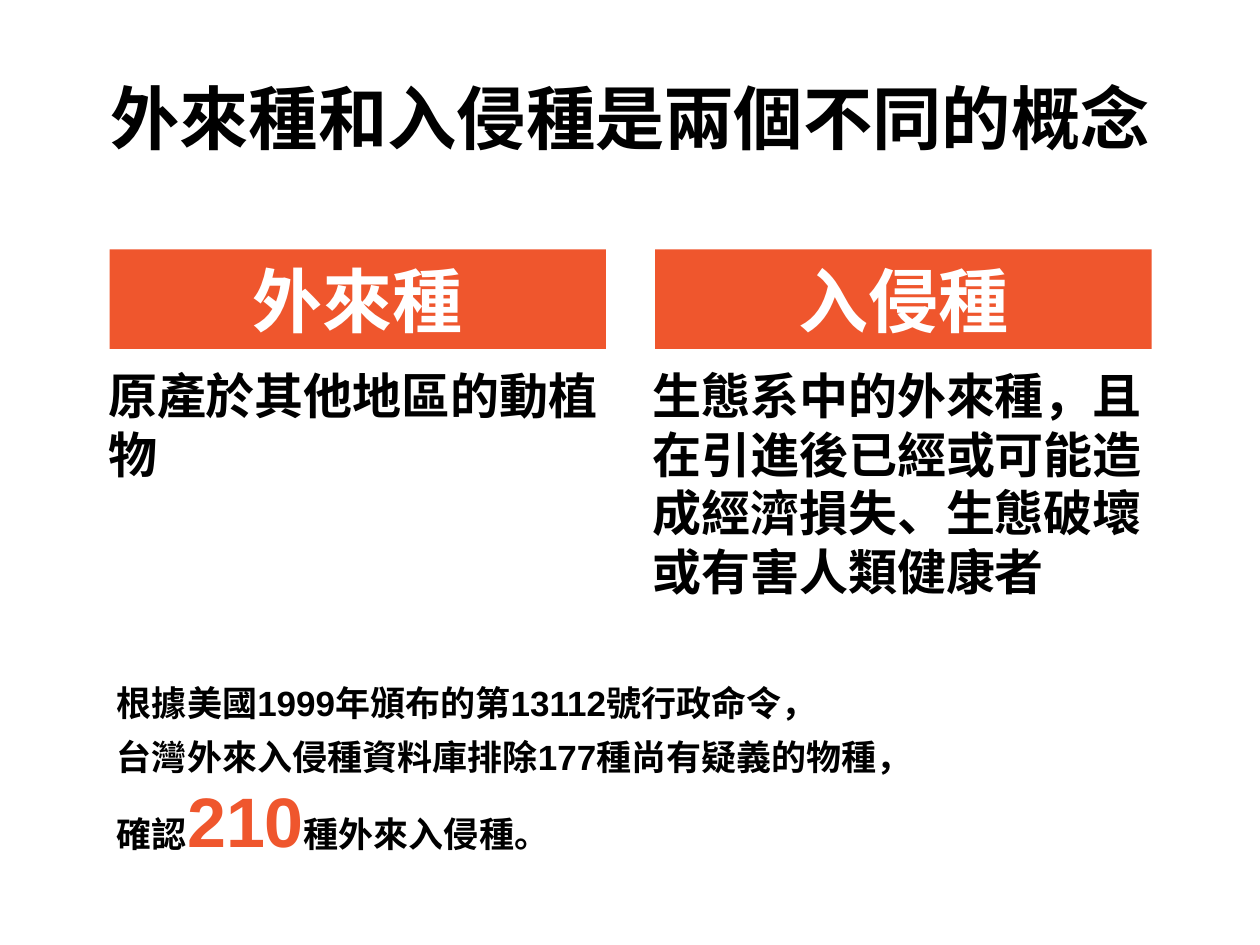
import pptx
import pptx.dml.color
import pptx.enum.shapes
import pptx.enum.text
import pptx.util

Inches = pptx.util.Inches
ORANGE = pptx.dml.color.RGBColor(0xEF, 0x56, 0x2D)
BLACK = pptx.dml.color.RGBColor(0, 0, 0)
WHITE = pptx.dml.color.RGBColor(255, 255, 255)
CENTER = pptx.enum.text.PP_ALIGN.CENTER
MIDDLE = pptx.enum.text.MSO_ANCHOR.MIDDLE


def add_span(para, text, size, color=BLACK):
    span = para.add_run()
    span.text = text
    span.font.name = "Arial"
    span.font.size = pptx.util.Pt(size)
    span.font.bold = True
    span.font.color.rgb = color


def add_box(left, top, width, height):
    box = slide.shapes.add_textbox(
        Inches(left), Inches(top), Inches(width), Inches(height))
    box.text_frame.word_wrap = True
    return box.text_frame


deck = pptx.Presentation()
deck.slide_width = Inches(10)
deck.slide_height = Inches(7.5)
slide = deck.slides.add_slide(deck.slide_layouts[6])

# Title
title = add_box(0.5, 0.3, 9, 1.25)
title.vertical_anchor = MIDDLE
title.paragraphs[0].alignment = CENTER
add_span(title.paragraphs[0], "外來種和入侵種是兩個不同的概念", 39.6)

# Two columns: coloured heading with its definition below
columns = [
    (0.87, 0.76, 1.04, "外來種", "原產於其他地區的動植物"),
    (5.2, 5.08, 1.99, "入侵種",
     "生態系中的外來種，且在引進後已經或可能造成經濟損失、生態破壞或有害人類健康者"),
]
for heading_left, text_left, text_height, name, definition in columns:
    heading = slide.shapes.add_shape(
        pptx.enum.shapes.MSO_SHAPE.RECTANGLE,
        Inches(heading_left), Inches(1.98), Inches(3.94), Inches(0.79))
    heading.shadow.inherit = False
    heading.fill.solid()
    heading.fill.fore_color.rgb = ORANGE
    heading.line.fill.background()
    heading.text_frame.vertical_anchor = MIDDLE
    para = heading.text_frame.paragraphs[0]
    para.alignment = CENTER
    add_span(para, name, 40, WHITE)

    body = add_box(text_left, 2.85, 4.09, text_height)
    add_span(body.paragraphs[0], definition, 28)

# Source and count
order = add_box(0.83, 5.36, 6.22, 0.44)
add_span(order.paragraphs[0], "根據美國1999年頒布的第13112號行政命令，", 20)

para = add_box(0.83, 5.79, 8.82, 1.11).paragraphs[0]
add_span(para, "台灣外來入侵種資料庫排除177種尚有疑義的物種，", 20)
para.add_line_break()
add_span(para, "確認", 20)
add_span(para, "210", 40, ORANGE)
add_span(para, "種外來入侵種。", 20)

deck.save("out.pptx")
